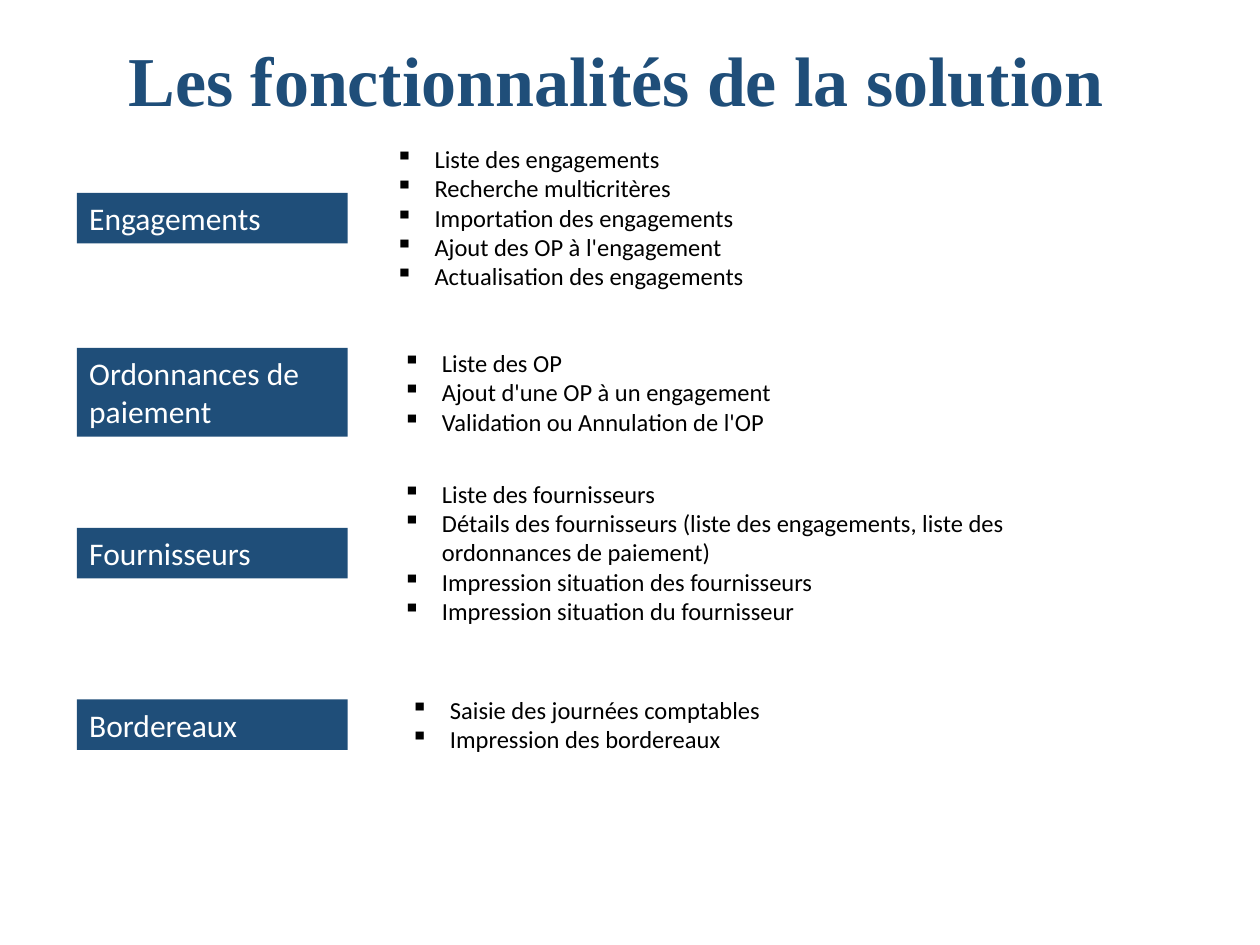
"""Build a slide listing the functions of the solution by module."""
import lxml.etree
import pptx
import pptx.dml.color
import pptx.enum.shapes
import pptx.enum.text
import pptx.oxml.ns
import pptx.util
from pptx.util import Cm

NAVY = pptx.dml.color.RGBColor(0x1F, 0x4E, 0x79)
WHITE = pptx.dml.color.RGBColor(0xFF, 0xFF, 0xFF)
BLACK = pptx.dml.color.RGBColor(0x00, 0x00, 0x00)

LABEL_LEFT, LABEL_WIDTH, LABEL_LINE = 1.55, 5.46, 0.77
LIST_WIDTH, LIST_LINE = 15.19, 0.6
PADDING = 0.25
INDENT = Cm(0.79)

# Each section: label, label lines, centre height, list left, list lines, items
SECTIONS = [
    ("Engagements", 1, 4.4, 7.72, 5, [
        "Liste des engagements",
        "Recherche multicritères",
        "Importation des engagements",
        "Ajout des OP à l'engagement",
        "Actualisation des engagements",
    ]),
    ("Ordonnances de paiement", 2, 7.91, 7.87, 3, [
        "Liste des OP",
        "Ajout d'une OP à un engagement",
        "Validation ou Annulation de l'OP",
    ]),
    ("Fournisseurs", 1, 11.15, 7.87, 5, [
        "Liste des fournisseurs",
        "Détails des fournisseurs (liste des engagements, liste des ordonnances de paiement)",
        "Impression situation des fournisseurs",
        "Impression situation du fournisseur",
    ]),
    ("Bordereaux", 1, 14.61, 8.03, 2, [
        "Saisie des journées comptables",
        "Impression des bordereaux",
    ]),
]


def write_text(shape, text, size, color, font_name="Calibri", bold=False):
    """Fill a shape with wrapped, left-aligned text in one format."""
    text_frame = shape.text_frame
    text_frame.text = text
    text_frame.word_wrap = True
    text_frame.vertical_anchor = pptx.enum.text.MSO_ANCHOR.TOP
    for paragraph in text_frame.paragraphs:
        paragraph.alignment = pptx.enum.text.PP_ALIGN.LEFT
        for run in paragraph.runs:
            run.font.name = font_name
            run.font.size = pptx.util.Pt(size)
            run.font.bold = bold
            run.font.color.rgb = color


def add_bullet(paragraph):
    """Give a paragraph a square bullet with a hanging indent."""
    properties = paragraph._p.get_or_add_pPr()
    properties.set("marL", str(INDENT))
    properties.set("indent", str(-INDENT))
    bullet = lxml.etree.SubElement(properties, pptx.oxml.ns.qn("a:buChar"))
    bullet.set("char", "▪")


def add_title(slide, text):
    """Add the slide title."""
    box = slide.shapes.add_textbox(Cm(2.34), Cm(0.61), Cm(20.32), Cm(1.96))
    write_text(box, text, 40, NAVY, "Times New Roman", True)


def add_label(slide, text, line_count, centre):
    """Add a filled module label centred on a height."""
    height = PADDING + line_count * LABEL_LINE
    shape = slide.shapes.add_shape(
        pptx.enum.shapes.MSO_SHAPE.RECTANGLE,
        Cm(LABEL_LEFT), Cm(centre - height / 2), Cm(LABEL_WIDTH), Cm(height))
    shape.shadow.inherit = False
    shape.fill.solid()
    shape.fill.fore_color.rgb = NAVY
    shape.line.fill.background()
    write_text(shape, text, 18, WHITE)


def add_function_list(slide, items, line_count, left, centre):
    """Add a bulleted list centred on a height."""
    height = PADDING + line_count * LIST_LINE
    box = slide.shapes.add_textbox(
        Cm(left), Cm(centre - height / 2), Cm(LIST_WIDTH), Cm(height))
    write_text(box, "\n".join(items), 14, BLACK)
    for paragraph in box.text_frame.paragraphs:
        add_bullet(paragraph)


def main():
    """Build and save the presentation."""
    presentation = pptx.Presentation()
    presentation.slide_width = Cm(25.4)
    presentation.slide_height = Cm(19.05)
    slide = presentation.slides.add_slide(presentation.slide_layouts[6])
    add_title(slide, "Les fonctionnalités de la solution")
    for label, label_lines, centre, left, list_lines, items in SECTIONS:
        add_label(slide, label, label_lines, centre)
        add_function_list(slide, items, list_lines, left, centre)
    presentation.save("out.pptx")


if __name__ == "__main__":
    main()
